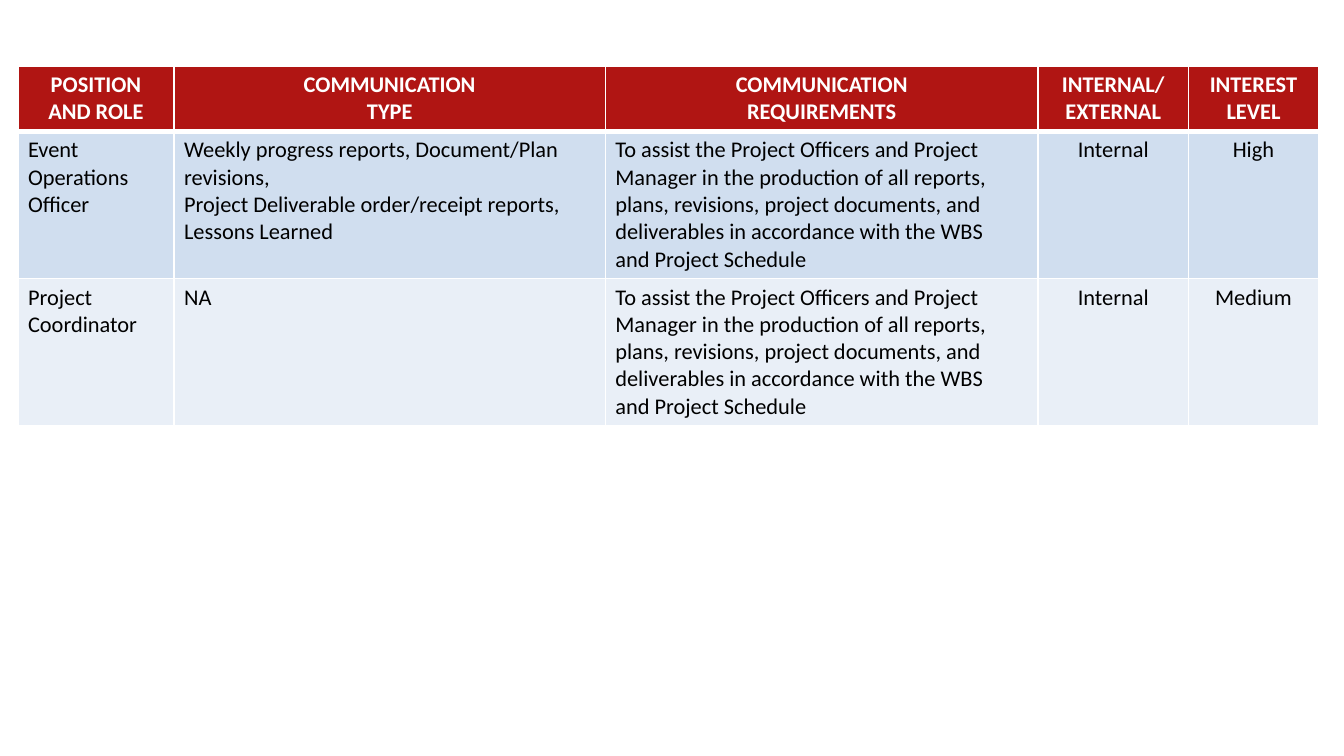
import pptx
import pptx.util
import pptx.dml.color
import pptx.enum.text
import pptx.oxml
import pptx.oxml.ns

Cm, Pt = pptx.util.Cm, pptx.util.Pt
ALIGN = pptx.enum.text.PP_ALIGN
COLORS = {"header": "B01513", "band": "D0DEEF", "light": "E9EFF7",
          "white": "FFFFFF", "text": "000000"}
COLUMN_WIDTHS = [2.95, 8.15, 8.18, 2.84, 2.46]
ROW_HEIGHTS = [1.19, 2.77, 2.77]
CENTERED_COLUMNS = (3, 4)
REQUIREMENTS = (
    "To assist the Project Officers and Project Manager in the production of all reports,\n"
    "plans, revisions, project documents, and deliverables in accordance with the WBS\n"
    "and Project Schedule"
)
ROWS = [
    ["POSITION AND ROLE", "COMMUNICATION\nTYPE", "COMMUNICATION\nREQUIREMENTS",
     "INTERNAL/\nEXTERNAL", "INTEREST\nLEVEL"],
    ["Event\nOperations\nOfficer",
     "Weekly progress reports, Document/Plan revisions,\n"
     "Project Deliverable order/receipt reports, Lessons Learned",
     REQUIREMENTS, "Internal", "High"],
    ["Project\nCoordinator", "NA", REQUIREMENTS, "Internal", "Medium"],
]


def rgb(name):
    """Return the named palette colour."""
    return pptx.dml.color.RGBColor.from_string(COLORS[name])


def set_borders(cell, widths):
    """Draw white borders with the given width in points for each side."""
    tcPr = cell._tc.get_or_add_tcPr()
    for side, width in widths.items():
        tcPr.append(pptx.oxml.parse_xml(
            f'<a:ln{side} {pptx.oxml.ns.nsdecls("a")} w="{Pt(width)}"><a:solidFill>'
            f'<a:srgbClr val="{COLORS["white"]}"/></a:solidFill></a:ln{side}>'))


def format_cell(cell, text, fill, color, bold, align):
    """Fill one cell and set its text."""
    cell.fill.solid()
    cell.fill.fore_color.rgb = rgb(fill)
    cell.margin_left = cell.margin_right = Cm(0.19)
    cell.margin_top = cell.margin_bottom = Cm(0.1)
    cell.text = text
    for p in cell.text_frame.paragraphs:
        p.alignment = align
        for r in p.runs:
            r.font.name = "Calibri"
            r.font.size = Pt(12)
            r.font.bold = bold
            r.font.color.rgb = rgb(color)


def add_communication_table(s, left, top):
    """Place the communication plan table with its corner at left, top."""
    table = s.shapes.add_table(
        len(ROWS), len(COLUMN_WIDTHS), Cm(left), Cm(top),
        Cm(sum(COLUMN_WIDTHS)), Cm(sum(ROW_HEIGHTS))).table
    for column, width in zip(table.columns, COLUMN_WIDTHS):
        column.width = Cm(width)
    for i, (texts, height) in enumerate(zip(ROWS, ROW_HEIGHTS)):
        table.rows[i].height = Cm(height)
        header = i == 0
        fill = ("header", "band", "light")[i]
        for j, text in enumerate(texts):
            cell = table.cell(i, j)
            set_borders(cell, {"L": 1, "R": 1, "T": 3 if i == 1 else 1,
                               "B": 3 if header else 1})
            centered = header or j in CENTERED_COLUMNS
            format_cell(cell, text, fill, "white" if header else "text", header,
                        ALIGN.CENTER if centered else ALIGN.LEFT)


def main():
    """Build the slide and save it."""
    prs = pptx.Presentation()
    prs.slide_width, prs.slide_height = Cm(25.4), Cm(14.29)
    s = prs.slides.add_slide(prs.slide_layouts[6])
    add_communication_table(s, 0.34, 1.25)
    prs.save("out.pptx")


if __name__ == "__main__":
    main()
